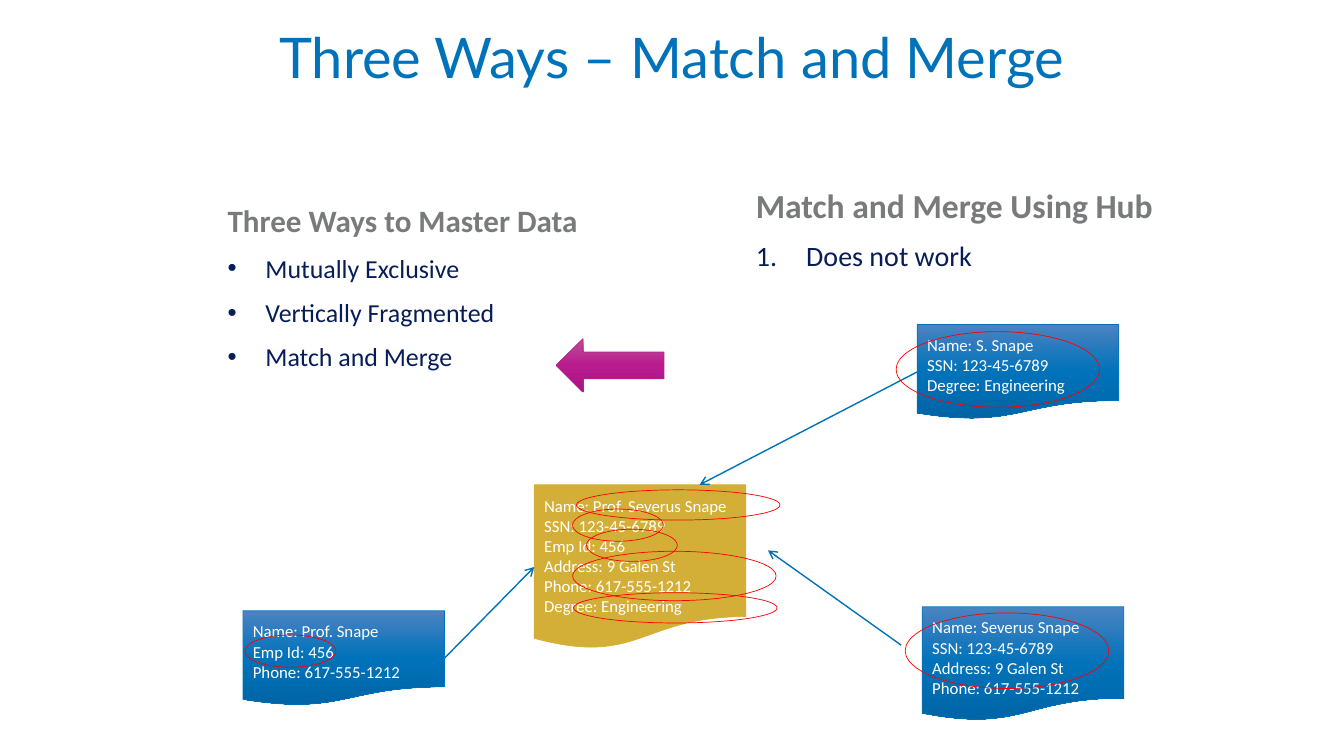
"""Build the Match and Merge slide."""
from copy import deepcopy

from pptx import Presentation
from pptx.dml.color import RGBColor
from pptx.enum.shapes import MSO_CONNECTOR, MSO_SHAPE
from pptx.enum.text import MSO_ANCHOR, PP_ALIGN
from pptx.oxml.ns import qn
from pptx.util import Pt
from lxml.etree import SubElement

BLUE, GOLD, RED, WHITE = "0072BA", "D4AF37", "FF0000", "FFFFFF"
GREY, NAVY, PURPLE = "797A7C", "071D58", "B2238B"
BLUES = ["4B83C2", "0072BA", "0065A5"]
PURPLES = ["BD5099", "B91C8E", "AB1281"]

TITLE = ("Three Ways – Match and Merge", (71.3, 18, 817.2, 57.6))
CARDS = {
    "merged": ((381.6, 346.3, 151.2, 117.4), [GOLD], GOLD, 0, [
        "Name: Prof. Severus Snape", "SSN: 123-45-6789", "Emp Id: 456",
        "Address: 9 Galen St", "Phone: 617-555-1212", "Degree: Engineering"]),
    "address": ((658.8, 433.4, 144, 81.4), BLUES, BLUE, 0, [
        "Name: Severus Snape", "SSN: 123-45-6789",
        "Address: 9 Galen St", "Phone: 617-555-1212"]),
    "degree": ((655.2, 231.8, 144, 67.7), BLUES, BLUE, 3.6, [
        "Name: S. Snape", "SSN: 123-45-6789", "Degree: Engineering"]),
    "employee": ((173.5, 436.3, 144, 67.7), BLUES, BLUE, 3.6, [
        "Name: Prof. Snape", "Emp Id: 456", "Phone: 617-555-1212"]),
}
LINKS = [
    ((317.5, 470.2), (381.6, 405), ("employee", 3), ("merged", 1)),
    ((643.7, 460.8), (548.6, 393.1), None, None),
    ((655.2, 265.7), (499.7, 346.3), ("degree", 1), None),
]
WIDE, NARROW = 145.4, 64.8
RINGS = [
    (646.6, 437.8, WIDE, 54), (409, 393.8, WIDE, 35.3),
    (409, 363.6, NARROW, 23), (175, 453.6, NARROW, 23),
    (419, 378, NARROW, 23), (640.1, 236.9, WIDE, 54),
    (411.8, 349.9, WIDE, 21.6), (409.7, 423.4, WIDE, 21.6),
]
ARROW = (397.4, 241.9, 77, 38.2)
LISTS = [
    ((155.5, 133.2, 266.4, 156.2), "Three Ways to Master Data", 22.2, 18.5, 27,
     ("buChar", "char", "•"),
     ["Mutually Exclusive", "Vertically Fragmented", "Match and Merge"]),
    ((532.8, 121, 339.8, 91.4), "Match and Merge Using Hub", 24, 20, 36,
     ("buAutoNum", "type", "arabicPeriod"), ["Does not work"]),
]


def rgb(value):
    """Return the colour for a hex string."""
    return RGBColor.from_string(value)


def add_run(p, text, size, color, font="Calibri", bold=False):
    """Append one formatted run to a paragraph."""
    r = p.add_run()
    r.text = text
    r.font.name, r.font.size, r.font.bold = font, Pt(size), bold
    r.font.color.rgb = rgb(color)


def paragraphs(tf, count):
    """Return the given number of paragraphs of a text frame."""
    return [tf.paragraphs[0]] + [tf.add_paragraph() for _ in range(count - 1)]


def set_insets(tf, top, bottom):
    """Set the margins of a wrapping text frame."""
    tf.word_wrap = True
    tf.margin_left = tf.margin_right = Pt(7.2)
    tf.margin_top, tf.margin_bottom = Pt(top), Pt(bottom)


def add_box(slide, box, top=3.6):
    """Add a wrapping text box and return its text frame."""
    tf = slide.shapes.add_textbox(*map(Pt, box)).text_frame
    set_insets(tf, top, 3.6)
    return tf


def add_shape(slide, kind, box, colors, line):
    """Add a shape with no fill, a plain fill or a vertical gradient."""
    sp = slide.shapes.add_shape(kind, *map(Pt, box))
    sp.shadow.inherit = False
    sp.line.color.rgb, sp.line.width = rgb(line), Pt(0.5)
    if not colors:
        sp.fill.background()
    elif len(colors) == 1:
        sp.fill.solid()
        sp.fill.fore_color.rgb = rgb(colors[0])
    else:
        sp.fill.gradient()
        sp.fill.gradient_angle = 270
        stops = sp._element.spPr.find(qn("a:gradFill")).find(qn("a:gsLst"))
        stops.append(deepcopy(stops[0]))
        for i, stop in enumerate(sp.fill.gradient_stops):
            stop.position = i / (len(colors) - 1)
            stop.color.rgb = rgb(colors[i])
    return sp


def add_card(slide, box, colors, line, bottom, rows):
    """Add a record card with one line of text per field."""
    sp = add_shape(slide, MSO_SHAPE.FLOWCHART_DOCUMENT, box, colors, line)
    tf = sp.text_frame
    set_insets(tf, 7.2, bottom)
    tf.vertical_anchor = MSO_ANCHOR.MIDDLE
    for p, row in zip(paragraphs(tf, len(rows)), rows):
        p.alignment = PP_ALIGN.LEFT
        add_run(p, row, 12, WHITE)
    return sp


def add_link(slide, cards, start, end, source, target):
    """Add an arrow, joined to cards where sides are given."""
    line = slide.shapes.add_connector(MSO_CONNECTOR.STRAIGHT, *map(Pt, start + end))
    if source:
        line.begin_connect(cards[source[0]], source[1])
    if target:
        line.end_connect(cards[target[0]], target[1])
    line.line.color.rgb, line.line.width = rgb(BLUE), Pt(1)
    spPr = line._element.spPr
    SubElement(spPr.find(qn("a:ln")), qn("a:tailEnd"), type="arrow")
    SubElement(spPr, qn("a:effectLst"))


def add_list(slide, box, heading, head_size, size, indent, bullet, items):
    """Add a heading followed by bulleted or numbered items."""
    tf = add_box(slide, box, 10.8)
    head, *rest = paragraphs(tf, len(items) + 1)
    head.space_after = Pt(6)
    add_run(head, heading, head_size, GREY, bold=True)
    tag, key, value = bullet
    for p, item in zip(rest, items):
        p.space_before, p.space_after = Pt(3.5), Pt(6)
        pPr = p._p.get_or_add_pPr()
        pPr.set("marL", str(Pt(indent)))
        pPr.set("indent", str(-Pt(indent)))
        SubElement(pPr, qn("a:buFont"), typeface="Arial" if tag == "buChar" else "Calibri")
        SubElement(pPr, qn("a:" + tag)).set(key, value)
        add_run(p, item, size, NAVY)


def main():
    """Draw the slide and save it."""
    prs = Presentation()
    prs.slide_width, prs.slide_height = Pt(960), Pt(540)
    slide = prs.slides.add_slide(prs.slide_layouts[6])

    text, box = TITLE
    p = add_box(slide, box).paragraphs[0]
    p.alignment, p.line_spacing = PP_ALIGN.CENTER, 0.9
    add_run(p, text, 40, BLUE, "Lato")

    cards = {name: add_card(slide, *card) for name, card in CARDS.items()}
    for link in LINKS:
        add_link(slide, cards, *link)
    for ring in RINGS:
        add_shape(slide, MSO_SHAPE.OVAL, ring, [], RED)
    add_shape(slide, MSO_SHAPE.LEFT_ARROW, ARROW, PURPLES, PURPLE)
    for block in LISTS:
        add_list(slide, *block)
    prs.save("out.pptx")


if __name__ == "__main__":
    main()
